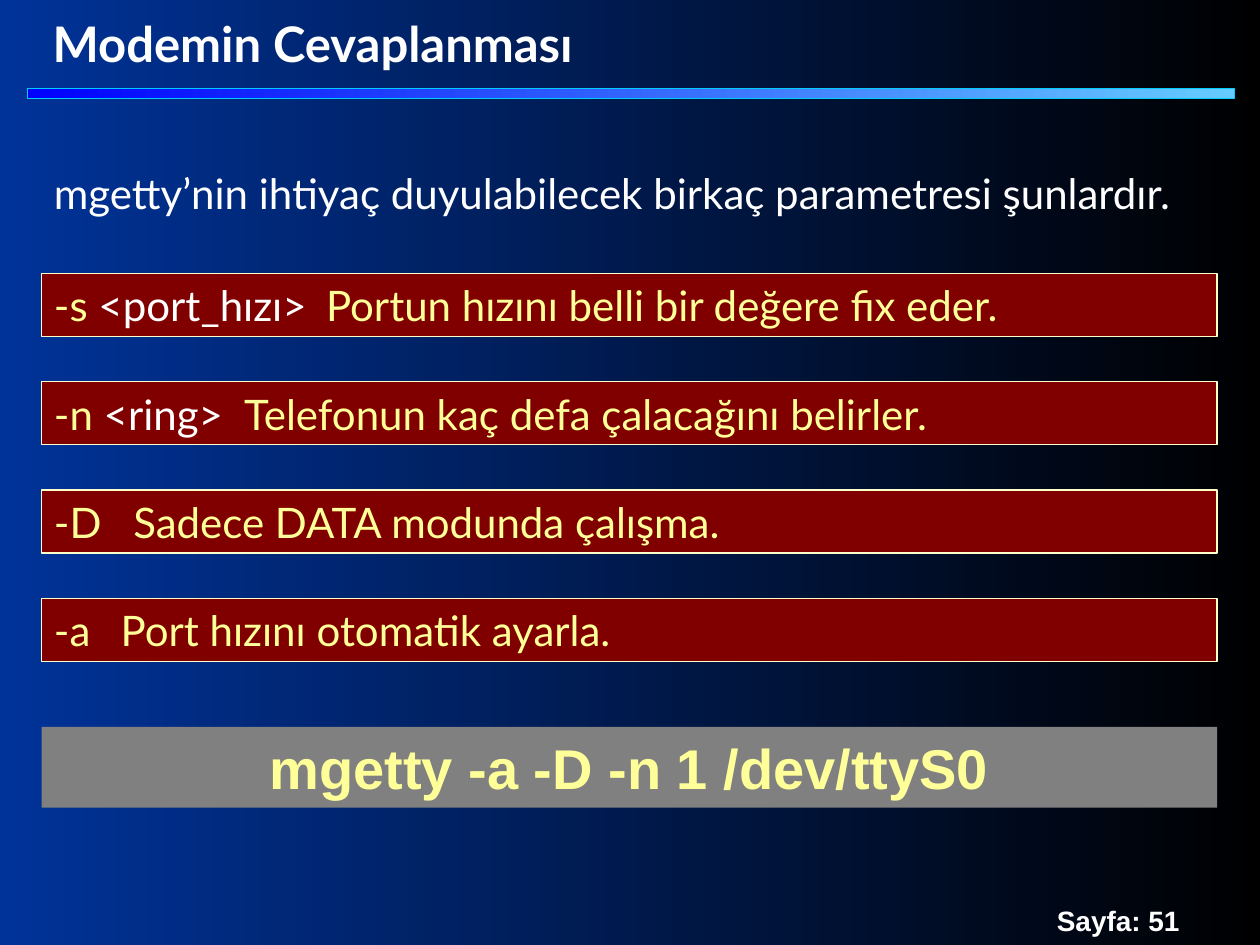
from lxml import etree
from pptx import Presentation
from pptx import util as u
from pptx.dml.color import RGBColor
from pptx.enum import shapes, text
from pptx.oxml.ns import qn

COLOURS = {
    "white": "FFFFFF", "yellow": "FFFF99", "cream": "FFFFCC",
    "maroon": "800000", "grey": "808080", "black": "000000",
    "navy": "003399", "blue": "0000FF", "sky": "66CCFF", "cyan": "00CCFF",
}
TITLE = "Modemin Cevaplanması"
INTRO = "mgetty’nin ihtiyaç duyulabilecek birkaç parametresi şunlardır."
# option, argument, description, tab stop of the description in inches
OPTIONS = [
    ("-s ", "<port_hızı>", "Portun hızını belli bir değere fix eder.", 2.16),
    ("-n ", "<ring>", "Telefonun kaç defa çalacağını belirler.", 1.51),
    ("-D", "", "Sadece DATA modunda çalışma.", 0.63),
    ("-a", "", "Port hızını otomatik ayarla.", 0.53),
]
COMMAND = "mgetty -a -D -n 1 /dev/ttyS0"
FOOTER = "Sayfa: 51"

LEFT, WIDTH = 0.33, 9.33
ROW_TOP, ROW_STEP, ROW_HEIGHT = 2.17, 0.86, 0.5


def colour(name):
    return RGBColor.from_string(COLOURS[name])


def set_gradient(fill, right, left):
    fill.gradient()
    fill.gradient_angle = 180
    for stop, name in zip(fill.gradient_stops, (right, left)):
        stop.color.rgb = colour(name)


def add_bar(page, place, fill=None, line=None):
    bar = page.shapes.add_shape(
        shapes.MSO_SHAPE.RECTANGLE, *map(u.Inches, place))
    bar.shadow.inherit = False
    if fill:
        bar.fill.solid()
        bar.fill.fore_color.rgb = colour(fill)
    if line:
        bar.line.color.rgb = colour(line)
        bar.line.width = u.Pt(0.75)
    else:
        bar.line.fill.background()
    return bar


def write(box, spans, size, font="Lato", bold=False, wrap=True,
          anchor=text.MSO_ANCHOR.MIDDLE, align=text.PP_ALIGN.LEFT, tab=None):
    frame = box.text_frame
    frame.word_wrap = wrap
    frame.vertical_anchor = anchor
    para = frame.paragraphs[0]
    para.alignment = align
    if tab:
        stops = etree.SubElement(para._p.get_or_add_pPr(), qn("a:tabLst"))
        etree.SubElement(stops, qn("a:tab"), pos=str(u.Inches(tab)), algn="l")
    for words, name in spans:
        span = para.add_run()
        span.text = words
        span.font.size = u.Pt(size)
        span.font.name = font
        span.font.bold = bold
        span.font.color.rgb = colour(name)


def add_label(page, place, words, size, **style):
    box = page.shapes.add_textbox(*map(u.Inches, place))
    write(box, [(words, "white")], size, **style)


deck = Presentation()
deck.slide_width, deck.slide_height = u.Inches(10), u.Inches(7.5)
page = deck.slides.add_slide(deck.slide_layouts[6])
set_gradient(page.background.fill, "black", "navy")

# Footer, title rule and title
top = text.MSO_ANCHOR.TOP
add_label(page, (8.29, 7.12, 2, 0.37), FOOTER, 16,
          font="Arial", bold=True, wrap=False, anchor=top)
rule = add_bar(page, (0.22, 0.7, 9.58, 0.08), line="cyan")
set_gradient(rule.fill, "sky", "blue")
add_label(page, (0.32, 0.06, 4.85, 0.57), TITLE, 28,
          bold=True, wrap=False, anchor=top)

# Introduction
add_label(page, (LEFT, 1.08, WIDTH, 0.9), INTRO, 24)

# Option rows
for index, (option, argument, description, tab) in enumerate(OPTIONS):
    row = add_bar(page, (LEFT, ROW_TOP + index * ROW_STEP, WIDTH, ROW_HEIGHT),
                  "maroon", "cream")
    spans = [(option, "yellow"), (argument, "white"),
             ("\t" + description, "yellow")]
    write(row, [span for span in spans if span[0]], 24, tab=tab)

# Example command
command = add_bar(page, (LEFT, 5.77, WIDTH, 0.64), "grey")
write(command, [(COMMAND, "yellow")], 32, font="Arial", bold=True,
      align=text.PP_ALIGN.CENTER)

deck.save("out.pptx")
